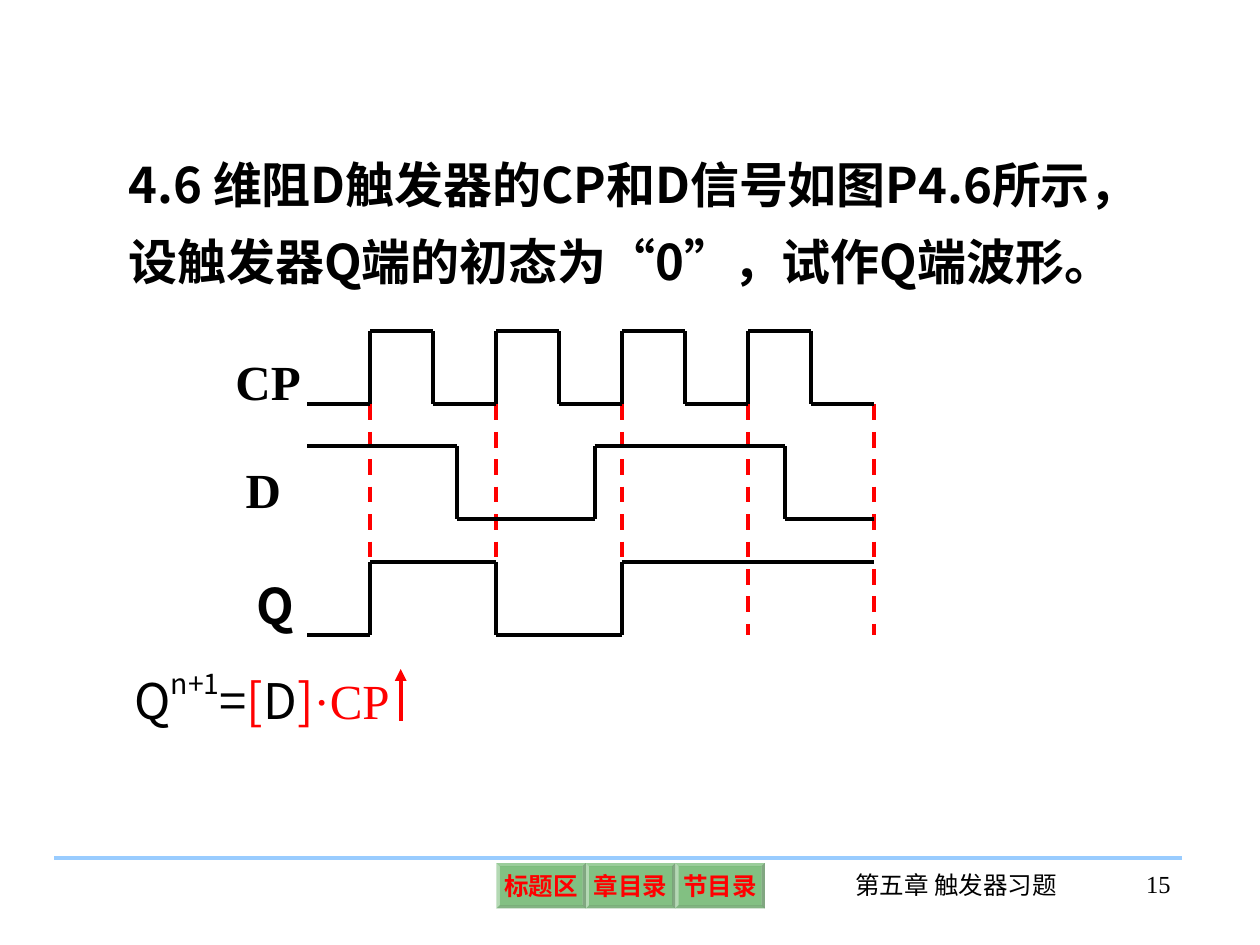
from lxml import etree
from pptx import Presentation
from pptx import util as u
from pptx.dml.color import RGBColor
from pptx.enum import dml, shapes, text
from pptx.oxml.ns import qn

BLACK = RGBColor(0, 0, 0)
RED = RGBColor(255, 0, 0)
GREEN = RGBColor(0, 128, 0)
SKY = RGBColor(0x99, 0xCC, 0xFF)
SANS, SERIF, ARIAL = "Noto Sans CJK SC", "Times New Roman", "Arial"
LEFT, CENTER, RIGHT = text.PP_ALIGN.LEFT, text.PP_ALIGN.CENTER, text.PP_ALIGN.RIGHT

# Timing diagram: one clock period is one inch, rising edges start at FIRST_EDGE
START, FIRST_EDGE, END = 2.44, 2.94, 6.94
PERIOD, SWING = 1, 0.58
EDGES = [FIRST_EDGE + PERIOD * i for i in range(5)]
CLOCK_TOGGLES = [edge + half for edge in EDGES[:4] for half in (0, PERIOD / 2)]
# (top of the wave, starts high, times at which the level changes)
WAVES = [
    (2.63, False, CLOCK_TOGGLES),
    (3.54, True, [3.63, 4.72, 6.23]),
    (4.46, False, [EDGES[0], EDGES[1], EDGES[2]]),
]
GUIDE_TOP, GUIDE_BOTTOM = 3.21, 5.04

# (box, runs of (text, font, colour, baseline), size, bold, line spacing, alignment)
TEXTS = [
    ((0.92, 1.04, 8.25, 1.92),
     [("4.6 维阻D触发器的CP和D信号如图P4.6所示，设触发器Q端的初态为", SANS, BLACK, 0),
      ("“", ARIAL, BLACK, 0), ("0", SANS, BLACK, 0), ("”", ARIAL, BLACK, 0),
      ("，试作Q端波形。", SANS, BLACK, 0)], 28, True, 1.3, LEFT),
    ((1.77, 2.6, 0.75, 0.71), [("CP", SERIF, BLACK, 0)], 28, True, 1.3, LEFT),
    ((1.85, 3.6, 0.68, 0.57), [("D", SERIF, BLACK, 0)], 28, True, 1, LEFT),
    ((1.94, 4.38, 0.5, 0.71), [("Q", SANS, BLACK, 0)], 28, True, 1.3, LEFT),
    ((0.97, 5.24, 2.55, 1.07),
     [("Q", SANS, BLACK, 0), ("n+1", SANS, BLACK, 50), ("=", SANS, BLACK, 0),
      ("[", SANS, RED, 0), ("D", SANS, BLACK, 0), ("]", SANS, RED, 0),
      ("·CP", SERIF, RED, 0)], 28, False, 1, LEFT),
    ((6.66, 6.86, 1.86, 0.5), [("第五章 触发器习题", SERIF, BLACK, 0)], 14, False, 1, CENTER),
    ((8.53, 6.85, 0.86, 0.5), [("15", SERIF, BLACK, 0)], 14, False, 1, RIGHT),
]
BUTTONS = ["标题区", "章目录", "节目录"]
BUTTON_LEFT, BUTTON_TOP, BUTTON_WIDTH, BUTTON_HEIGHT = 3.94, 6.85, 0.71, 0.36


def style_run(run, font, color, size, bold, baseline=0):
    run.font.name, run.font.size, run.font.bold = font, u.Pt(size), bold
    run.font.color.rgb = color
    properties = run._r.get_or_add_rPr()
    etree.SubElement(properties, qn("a:ea")).set("typeface", SANS)
    if baseline:
        properties.set("baseline", str(baseline * 1000))


def add_text(slide, box, runs, size, bold, spacing, alignment):
    frame = slide.shapes.add_textbox(*map(u.Inches, box)).text_frame
    frame.word_wrap = True
    paragraph = frame.paragraphs[0]
    paragraph.alignment, paragraph.line_spacing = alignment, spacing
    for words, font, color, baseline in runs:
        run = paragraph.add_run()
        run.text = words
        style_run(run, font, color, size, bold, baseline)


def add_line(slide, start, end, color=BLACK):
    line = slide.shapes.add_connector(
        shapes.MSO_CONNECTOR.STRAIGHT, *map(u.Inches, (*start, *end)))
    line.line.color.rgb = color
    line.line.width = u.Pt(2.25)
    etree.SubElement(line._element.spPr, qn("a:effectLst"))
    return line


def add_wave(slide, top, high, toggles):
    """Draw a square wave as level and edge lines."""
    y = top if high else top + SWING
    points = [(START, y)]
    for x in toggles:
        points.append((x, y))
        y = 2 * top + SWING - y
        points.append((x, y))
    points.append((END, y))
    for start, end in zip(points, points[1:]):
        add_line(slide, start, end)


def add_button(slide, column, label):
    shape = slide.shapes.add_shape(
        shapes.MSO_SHAPE.BEVEL, u.Inches(BUTTON_LEFT + column * BUTTON_WIDTH),
        u.Inches(BUTTON_TOP), u.Inches(BUTTON_WIDTH), u.Inches(BUTTON_HEIGHT))
    shape.adjustments[0] = 0.07
    shape.shadow.inherit = False
    shape.fill.solid()
    shape.fill.fore_color.rgb = GREEN
    color = shape._element.spPr.find(qn("a:solidFill"))[0]
    etree.SubElement(color, qn("a:alpha")).set("val", "49000")
    shape.line.fill.background()
    frame = shape.text_frame
    frame.margin_left = frame.margin_right = u.Inches(0.04)
    frame.margin_top = frame.margin_bottom = u.Inches(0.04)
    frame.word_wrap = False
    frame.vertical_anchor = text.MSO_ANCHOR.MIDDLE
    frame.text = label
    paragraph = frame.paragraphs[0]
    paragraph.alignment = CENTER
    style_run(paragraph.runs[0], SERIF, RED, 14, True)


def main():
    presentation = Presentation()
    presentation.slide_width, presentation.slide_height = u.Inches(10), u.Inches(7.5)
    slide = presentation.slides.add_slide(presentation.slide_layouts[6])

    add_line(slide, (0.43, 6.81), (9.38, 6.81), SKY)
    for item in TEXTS:
        add_text(slide, *item)
    for x in EDGES:
        guide = add_line(slide, (x, GUIDE_TOP), (x, GUIDE_BOTTOM), RED)
        guide.line.dash_style = dml.MSO_LINE.DASH
    for wave in WAVES:
        add_wave(slide, *wave)
    for column, label in enumerate(BUTTONS):
        add_button(slide, column, label)

    rising_arrow = add_line(slide, (3.18, 5.72), (3.18, 5.31), RED)
    etree.SubElement(rising_arrow.line._get_or_add_ln(), qn("a:tailEnd")).set("type", "triangle")
    presentation.save("out.pptx")


if __name__ == "__main__":
    main()
